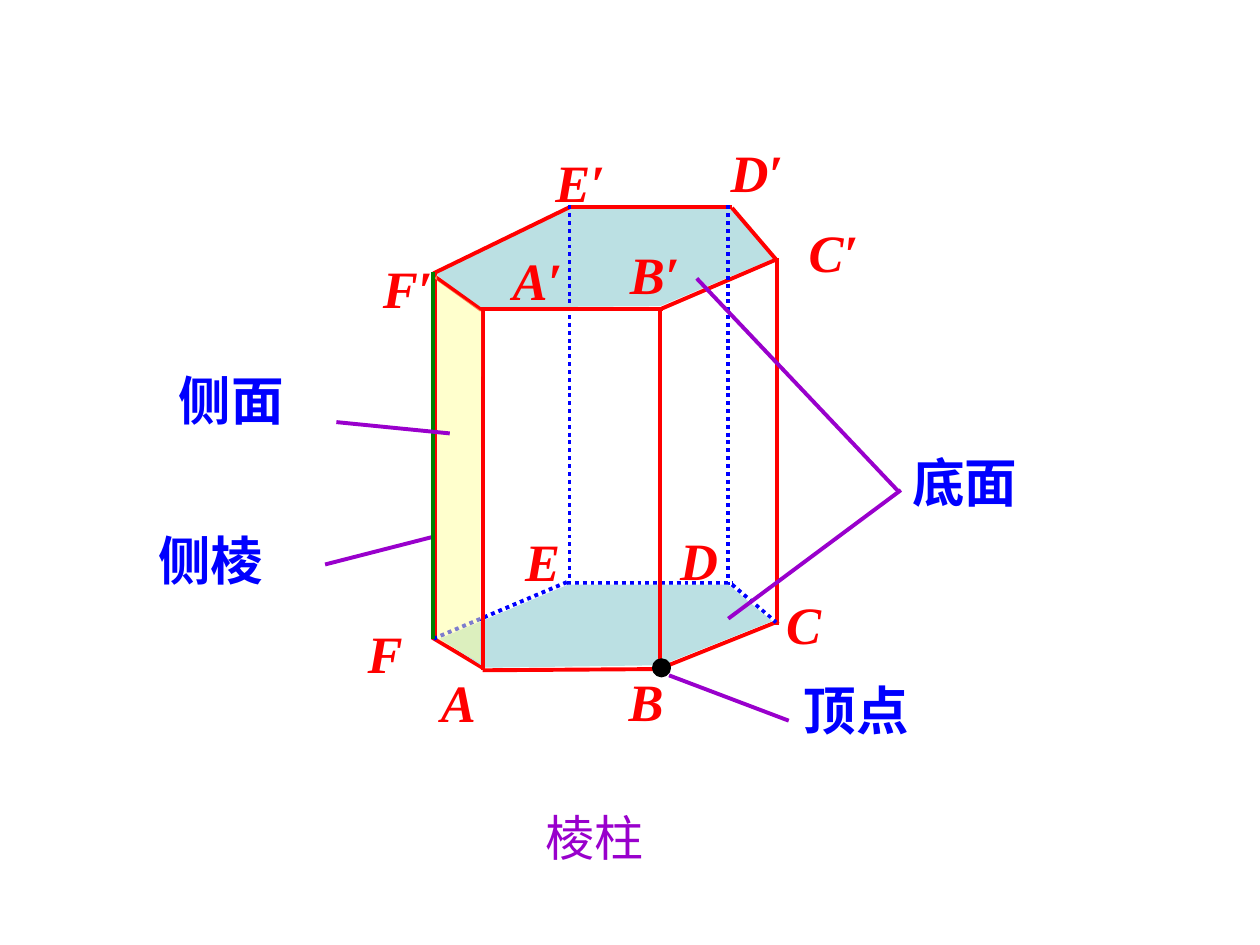
from lxml import etree
from pptx import Presentation, util as u
from pptx.dml.color import RGBColor
from pptx.enum import dml, shapes, text
from pptx.oxml import ns

RED = RGBColor(0xFF, 0x00, 0x00)
BLUE = RGBColor(0x00, 0x00, 0xFF)
PURPLE = RGBColor(0x99, 0x00, 0xCC)
GREEN = RGBColor(0x00, 0x80, 0x00)
BLACK = RGBColor(0x00, 0x00, 0x00)
BASE_FILL = RGBColor(0xBB, 0xE0, 0xE3)
SIDE_FILL = RGBColor(0xFF, 0xFF, 0x99)
STROKE = u.Pt(2.25)
PRIMED_WIDTH = 0.62

TOP_BASE = [(3.44, 2.16), (4.52, 1.65), (5.81, 1.65), (6.14, 2.05), (5.24, 2.43), (3.79, 2.44)]
BOTTOM_BASE = [(3.49, 5.07), (4.51, 4.64), (5.78, 4.64), (6.13, 4.93), (5.25, 5.28), (3.85, 5.3)]
SIDE_FACE = [(3.47, 2.18), (3.47, 5.07), (3.81, 5.26), (3.82, 2.47), (3.45, 2.21)]

OUTLINE = [
    (3.45, 5.07, 3.45, 2.16), (6.17, 4.96, 6.17, 2.05),
    (3.43, 5.06, 3.83, 5.3), (3.83, 5.32, 5.25, 5.31), (5.23, 5.31, 6.18, 4.93),
    (5.25, 2.45, 6.16, 2.06), (5.81, 1.64, 4.51, 1.64), (5.81, 1.65, 6.16, 2.06),
    (4.53, 1.64, 3.44, 2.17), (3.43, 2.18, 3.82, 2.46),
]
HIDDEN_EDGES = [
    (3.44, 5.07, 4.5, 4.62), (4.5, 4.63, 5.81, 4.63), (5.81, 4.64, 6.16, 4.94),
    (5.78, 1.63, 5.78, 4.64), (4.52, 1.63, 4.52, 4.64),
]
LEADERS = [(5.31, 5.36, 6.26, 5.72), (7.14, 3.91, 5.53, 2.21), (3.44, 4.26, 2.58, 4.48)]
FRONT_LEADERS = [(3.57, 3.44, 2.67, 3.35), (5.78, 4.91, 7.15, 3.89)]
FRONT_EDGES = [(3.83, 5.32, 3.83, 2.45), (5.24, 5.31, 5.24, 2.46)]

TOP_VERTICES = [("C′", 6.32, 1.7), ("D′", 5.7, 1.06), ("E′", 4.31, 1.14), ("F′", 2.94, 1.98)]
BOTTOM_VERTICES = [
    ("A", 3.4, 5.27, 0.76), ("B", 4.89, 5.26, 0.81), ("C", 6.14, 4.65, 0.68),
    ("E", 4.07, 4.15, 0.79), ("F", 2.82, 4.88, 0.83),
]
PART_NAMES = [("顶点", 6.28, 5.33), ("底面", 7.14, 3.52), ("侧面", 1.32, 2.87), ("侧棱", 1.16, 4.14)]


def add_label(slide, words, left, top, width, height=0.6, *, color=RED, size=30,
              bold=True, italic=False, wrap=True, align=text.PP_ALIGN.LEFT, spacing=None):
    """Add a one-line text label."""
    label = slide.shapes.add_textbox(*map(u.Inches, (left, top, width, height)))
    frame = label.text_frame
    frame.word_wrap = wrap
    frame.auto_size = text.MSO_AUTO_SIZE.SHAPE_TO_FIT_TEXT
    line = frame.paragraphs[0]
    line.alignment = align
    line.line_spacing = spacing
    run = line.add_run()
    run.text = words
    run.font.name = "Times New Roman"
    run.font.size = u.Pt(size)
    run.font.bold = bold
    run.font.italic = italic
    run.font.color.rgb = color


def add_segments(slide, segments, color, dash=None):
    """Draw straight segments in one colour."""
    for ends in segments:
        segment = slide.shapes.add_connector(
            shapes.MSO_CONNECTOR.STRAIGHT, *map(u.Inches, ends))
        segment.line.color.rgb = color
        segment.line.width = STROKE
        if dash:
            segment.line.dash_style = dash
        etree.SubElement(segment._element.spPr, ns.qn("a:effectLst"))


def add_face(slide, corners, color, opacity=None):
    """Fill a polygon, with an optional opacity in percent."""
    start, *rest = [(u.Inches(x), u.Inches(y)) for x, y in corners]
    builder = slide.shapes.build_freeform(*start)
    builder.add_line_segments(rest)
    face = builder.convert_to_shape()
    face.shadow.inherit = False
    face.fill.solid()
    face.fill.fore_color.rgb = color
    face.line.fill.background()
    if opacity is not None:
        shade = face._element.spPr.find(".//" + ns.qn("a:srgbClr"))
        etree.SubElement(shade, ns.qn("a:alpha"), val=str(opacity * 1000))


def add_dot(slide, left, top, size):
    """Mark a vertex with a black dot."""
    dot = slide.shapes.add_shape(
        shapes.MSO_SHAPE.OVAL, *map(u.Inches, (left, top, size, size)))
    dot.shadow.inherit = False
    dot.fill.solid()
    dot.fill.fore_color.rgb = BLACK
    dot.line.color.rgb = BLACK
    dot.line.width = STROKE


def main():
    """Build the labelled hexagonal prism slide."""
    deck = Presentation()
    deck.slide_width, deck.slide_height = u.Inches(10), u.Inches(7.5)
    slide = deck.slides.add_slide(deck.slide_layouts.get_by_name("Blank"))

    add_face(slide, TOP_BASE, BASE_FILL)
    add_label(slide, "棱柱", 2.48, 6.36, 4.48, 0.57, color=PURPLE, size=28,
              bold=False, align=text.PP_ALIGN.CENTER)
    add_segments(slide, OUTLINE, RED)
    add_label(slide, "B′", 4.9, 1.87, 1.38, italic=True)
    for name, left, top in TOP_VERTICES:
        add_label(slide, name, left, top, PRIMED_WIDTH, italic=True, wrap=False)
    for name, left, top, width in BOTTOM_VERTICES:
        add_label(slide, name, left, top, width, italic=True)
    add_label(slide, "D", 5.3, 3.94, 0.67, 0.8, italic=True, spacing=1.4)
    for name, left, top in PART_NAMES:
        add_label(slide, name, left, top, 1.86, color=BLUE)
    add_segments(slide, HIDDEN_EDGES, BLUE, dml.MSO_LINE.ROUND_DOT)
    add_segments(slide, LEADERS, PURPLE)
    add_segments(slide, [(3.81, 2.45, 5.26, 2.45)], RED)
    add_label(slide, "A′", 3.97, 1.92, PRIMED_WIDTH, italic=True, wrap=False)
    add_face(slide, BOTTOM_BASE, BASE_FILL)
    add_segments(slide, FRONT_EDGES, RED)
    add_face(slide, SIDE_FACE, SIDE_FILL, opacity=49)
    add_segments(slide, [(3.44, 5.07, 3.44, 2.16)], GREEN)
    add_dot(slide, 5.19, 5.24, 0.12)
    add_segments(slide, FRONT_LEADERS, PURPLE)

    deck.save("out.pptx")


if __name__ == "__main__":
    main()
